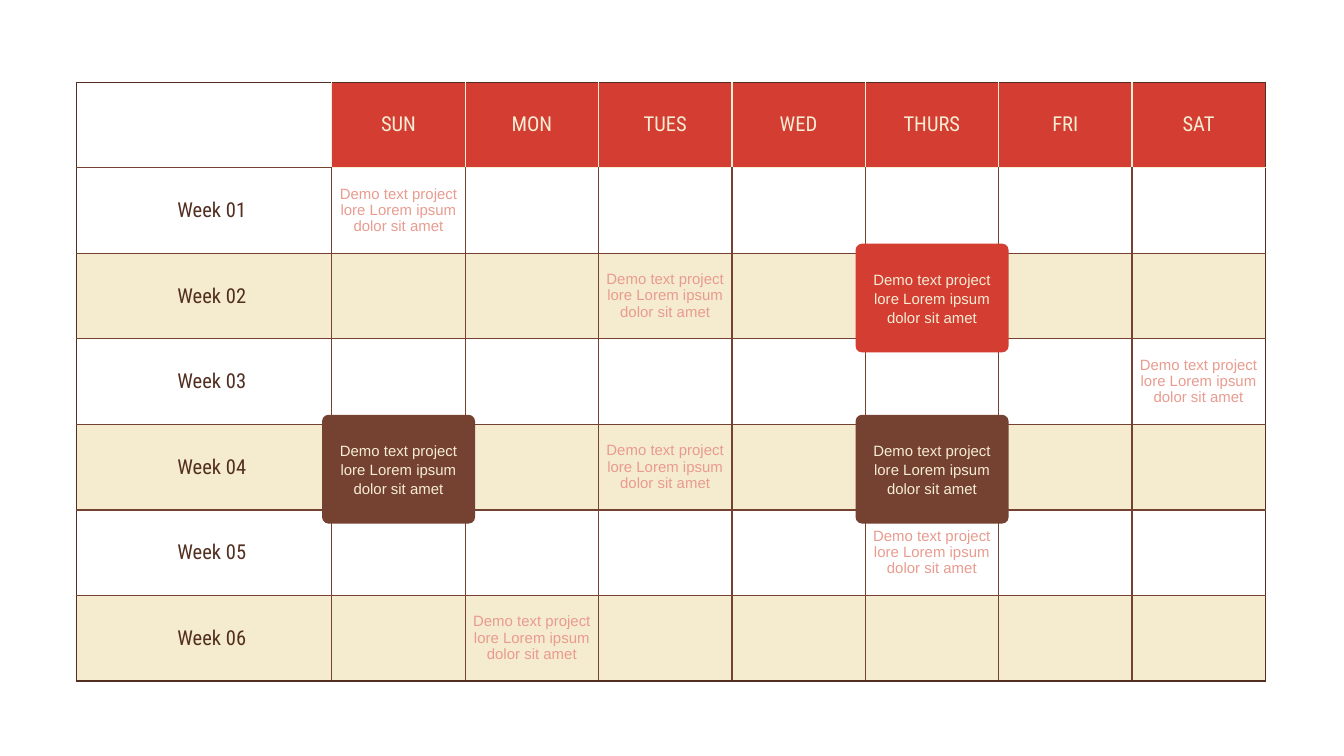
from dataclasses import dataclass

from lxml import etree
from pptx import Presentation
from pptx import util as u
from pptx.dml import color
from pptx.enum import shapes, text
from pptx.oxml import ns

RED, BROWN, DARK = "D33D32", "754231", "522F21"
CREAM, SAND, PINK = "F6EDD4", "EDD89E", "E99B8F"
HEADING_FONT, BODY_FONT = "Roboto Condensed", "Arial"
DEMO = "Demo text project lore Lorem ipsum dolor sit amet"

DAYS = ["SUN", "MON", "TUES", "WED", "THURS", "FRI", "SAT"]
WEEKS = 6
LEFT, TOP = 41, 44
WEEK_WIDTH, DAY_WIDTH, ROW_HEIGHT = 136.8, 71.45, 45.86
CARD_WIDTH, CARD_HEIGHT, CARD_DROP = 82, 58.3, 1


@dataclass
class Style:
    size: float
    font: str
    ink: str
    spacing: float = 1.0


@dataclass
class Card:
    week: int
    day: int
    fill: str


HEADER = Style(11, HEADING_FONT, CREAM)
WEEK = Style(11, HEADING_FONT, DARK)
NOTE = Style(8, BODY_FONT, PINK, 0.97)
CARD_TEXT = Style(8, BODY_FONT, CREAM, 1.05)

# Week and day numbers, both counted from 1
NOTES = {(1, 1), (2, 3), (3, 7), (4, 3), (5, 5), (6, 2)}
CARDS = [Card(2, 5, RED), Card(4, 1, BROWN), Card(4, 5, BROWN)]


def rgb(code: str) -> color.RGBColor:
    return color.RGBColor.from_string(code)


def write(frame, words: str, style: Style) -> None:
    paragraph = frame.paragraphs[0]
    paragraph.alignment = text.PP_ALIGN.CENTER
    paragraph.line_spacing = style.spacing
    run = paragraph.add_run()
    run.text = words
    run.font.size = u.Pt(style.size)
    run.font.name = style.font
    run.font.color.rgb = rgb(style.ink)


def set_margins(holder, left: float, right: float, vertical: float) -> None:
    holder.margin_left, holder.margin_right = u.Pt(left), u.Pt(right)
    holder.margin_top = holder.margin_bottom = u.Pt(vertical)


def add_border(cell, side: str, code: str) -> None:
    properties = cell._tc.get_or_add_tcPr()
    line = etree.SubElement(properties, ns.qn(f"a:ln{side}"), w=str(u.Pt(0.75)))
    fill = etree.SubElement(line, ns.qn("a:solidFill"))
    etree.SubElement(fill, ns.qn("a:srgbClr"), val=code)


def vertical_edge(row: int, edge: int) -> str:
    if edge in (0, len(DAYS) + 1):
        return DARK
    return CREAM if row == 0 else BROWN


def horizontal_edge(edge: int, column: int) -> str:
    if edge in (0, WEEKS + 1):
        return DARK
    return CREAM if edge == 1 and column > 0 else BROWN


def fill_cell(cell, row: int, column: int) -> None:
    if row == 0 and column > 0:
        cell.fill.solid()
        cell.fill.fore_color.rgb = rgb(RED)
    elif row > 0 and row % 2 == 0:
        cell.fill.solid()
        cell.fill.fore_color.rgb = rgb(SAND)
        tint = cell._tc.tcPr.find(".//" + ns.qn("a:solidFill") + "[last()]")
        tint = cell._tc.tcPr.find(ns.qn("a:solidFill"))[0]
        etree.SubElement(tint, ns.qn("a:alpha"), val="50000")
    else:
        cell.fill.background()


def format_cell(cell, row: int, column: int) -> None:
    cell.vertical_anchor = text.MSO_ANCHOR.MIDDLE
    is_week = row > 0 and column == 0
    set_margins(cell, 10.8 if is_week else 2.7, 2.7, 1.4)
    add_border(cell, "L", vertical_edge(row, column))
    add_border(cell, "R", vertical_edge(row, column + 1))
    add_border(cell, "T", horizontal_edge(row, column))
    add_border(cell, "B", horizontal_edge(row + 1, column))
    fill_cell(cell, row, column)
    if is_week:
        write(cell.text_frame, f"Week {row:02}", WEEK)
    elif row == 0 and column > 0:
        write(cell.text_frame, DAYS[column - 1], HEADER)
    elif (row, column) in NOTES:
        write(cell.text_frame, DEMO, NOTE)


def add_calendar(slide) -> None:
    rows, columns = WEEKS + 1, len(DAYS) + 1
    calendar = slide.shapes.add_table(
        rows, columns, u.Pt(LEFT), u.Pt(TOP),
        u.Pt(WEEK_WIDTH + len(DAYS) * DAY_WIDTH), u.Pt(rows * ROW_HEIGHT),
    ).table
    calendar.first_row = calendar.horz_banding = False
    for column in range(columns):
        calendar.columns[column].width = u.Pt(DAY_WIDTH if column else WEEK_WIDTH)
    for row in range(rows):
        calendar.rows[row].height = u.Pt(ROW_HEIGHT)
        for column in range(columns):
            format_cell(calendar.cell(row, column), row, column)


def add_card(slide, card: Card) -> None:
    center_x = LEFT + WEEK_WIDTH + (card.day - 0.5) * DAY_WIDTH
    center_y = TOP + (card.week + 0.5) * ROW_HEIGHT + CARD_DROP
    box = slide.shapes.add_shape(
        shapes.MSO_SHAPE.ROUNDED_RECTANGLE,
        u.Pt(center_x - CARD_WIDTH / 2), u.Pt(center_y - CARD_HEIGHT / 2),
        u.Pt(CARD_WIDTH), u.Pt(CARD_HEIGHT),
    )
    box.adjustments[0] = 0.06
    box.shadow.inherit = False
    box.fill.solid()
    box.fill.fore_color.rgb = rgb(card.fill)
    box.line.fill.background()
    frame = box.text_frame
    frame.word_wrap = True
    frame.vertical_anchor = text.MSO_ANCHOR.MIDDLE
    set_margins(frame, 1.4, 1.4, 1.4)
    write(frame, DEMO, CARD_TEXT)


def main() -> None:
    deck = Presentation()
    deck.slide_width, deck.slide_height = u.Pt(720), u.Pt(405)
    slide = deck.slides.add_slide(deck.slide_layouts[6])

    # Calendar grid
    add_calendar(slide)

    # Highlighted days
    for card in CARDS:
        add_card(slide, card)

    deck.save("out.pptx")


if __name__ == "__main__":
    main()
